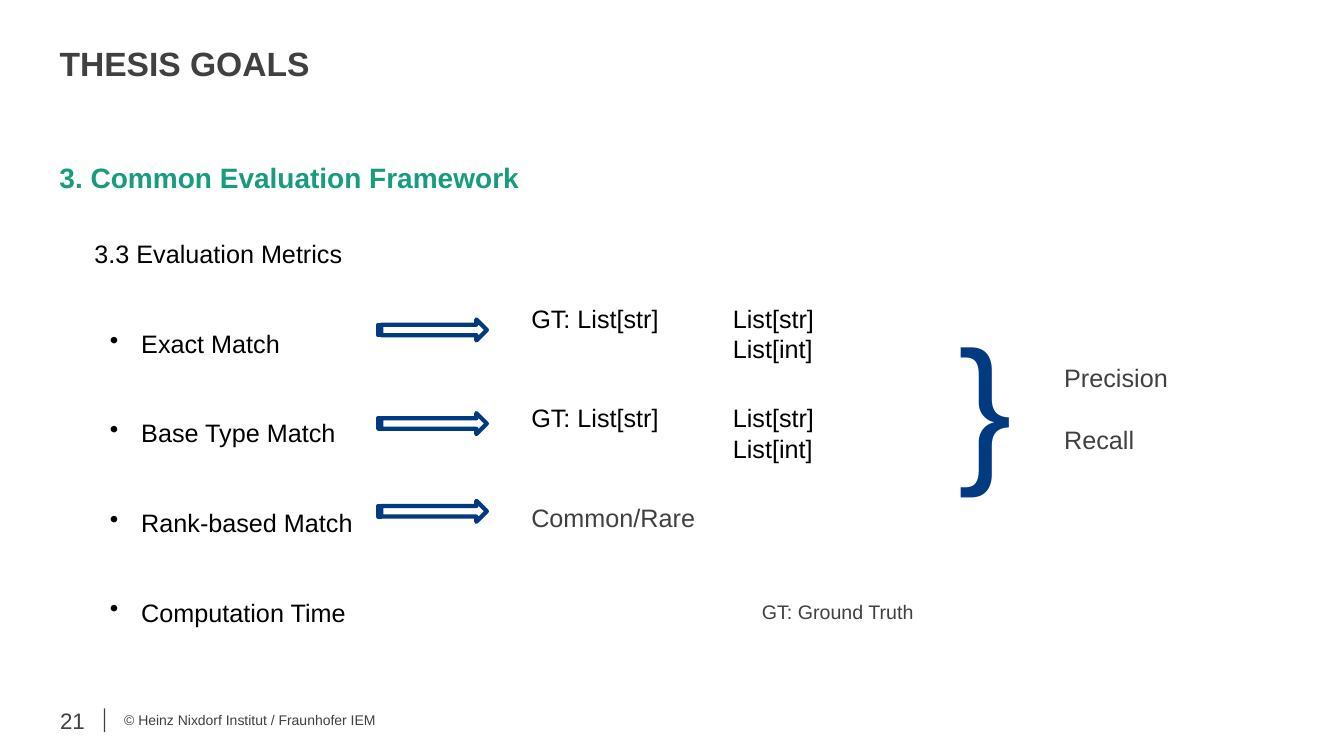
from lxml import etree
from pptx import Presentation
from pptx.dml import color
from pptx.enum import shapes, text
from pptx.oxml import ns
from pptx.util import Cm, Pt

GREY, BLACK, BLUE, GREEN = "404040", "000000", "003A80", "179C7D"


def rgb(value):
    """Return the colour for a hex string."""
    return color.RGBColor.from_string(value)


def format_font(paragraph, size, colour, bold=False):
    """Set the font of a whole paragraph."""
    font = paragraph.font
    font.name, font.size, font.bold = "Arial", Pt(size), bold
    font.color.rgb = rgb(colour)


def prepare_frame(shape, anchor=text.MSO_ANCHOR.TOP):
    """Remove the insets, wrap the text and anchor it."""
    frame = shape.text_frame
    frame.margin_left = frame.margin_right = frame.margin_top = frame.margin_bottom = 0
    frame.word_wrap = True
    frame.auto_size = text.MSO_AUTO_SIZE.NONE
    frame.vertical_anchor = anchor
    return frame


def add_text(slide, box, lines, size=18, colour=GREY, anchor=text.MSO_ANCHOR.TOP, tab=None):
    """Add a text box with one paragraph per line and an optional tab stop."""
    frame = prepare_frame(slide.shapes.add_textbox(*map(Cm, box)), anchor)
    for index, line in enumerate(lines):
        paragraph = frame.paragraphs[0] if index == 0 else frame.add_paragraph()
        paragraph.text = line
        if tab:
            stops = etree.SubElement(paragraph._p.get_or_add_pPr(), ns.qn("a:tabLst"))
            etree.SubElement(stops, ns.qn("a:tab"), pos=str(Cm(tab)), algn="l")
        format_font(paragraph, size, colour)
    return frame


def add_title(slide, box):
    """Place and format the title placeholder."""
    title = slide.shapes.title
    title.left, title.top, title.width, title.height = map(Cm, box)
    paragraph = prepare_frame(title).paragraphs[0]
    paragraph.text = "THESIS GOALS"
    paragraph.alignment = text.PP_ALIGN.LEFT
    paragraph.line_spacing = 0.9
    format_font(paragraph, 24, GREY, True)


def add_outline(slide, box):
    """Add the heading, the subheading and the bulleted metrics."""
    metrics = ["Exact Match", "Base Type Match", "Rank-based Match", "Computation Time"]
    lines = ["3. Common Evaluation Framework", "3.3 Evaluation Metrics", *metrics]
    frame = add_text(slide, box, lines, colour=BLACK)
    heading, subheading, *bullets = frame.paragraphs
    format_font(heading, 20, GREEN, True)
    heading.line_spacing = subheading.line_spacing = 2.0
    subheading.space_before = Pt(10)
    subheading._p.get_or_add_pPr().set("marL", str(Cm(0.88)))
    for paragraph in bullets:
        properties = paragraph._p.get_or_add_pPr()
        properties.set("marL", str(Cm(2.06)))
        properties.set("indent", str(Cm(-0.79)))
        bullet = etree.Element(ns.qn("a:buChar"), char="•")
        properties.insert(0, bullet)
        paragraph.line_spacing = 2.5
        paragraph.space_before = Pt(10)


def add_arrow(slide, box):
    """Add a striped arrow with a blue outline."""
    arrow = slide.shapes.add_shape(shapes.MSO_SHAPE.STRIPED_RIGHT_ARROW, *map(Cm, box))
    arrow.shadow.inherit = False
    arrow.fill.background()
    arrow.line.color.rgb = rgb(BLUE)
    arrow.line.width = Pt(3)


def add_examples(slide, box):
    """Add an arrow and an example for each matching metric."""
    left, top, width, height = box
    types = ["GT: List[str]\tList[str]", "\tList[int]"]
    rows = [(0.4, types, BLACK), (2.76, types, BLACK), (4.97, ["Common/Rare"], GREY)]
    for index, (arrow_offset, lines, colour) in enumerate(rows):
        add_arrow(slide, (left, top + arrow_offset, 2.74, 0.53))
        row_box = (left + 3.86, top + index * height / 3, width - 3.86, height / 3)
        add_text(slide, row_box, lines, colour=colour, tab=5.08)


def add_measures(slide, box):
    """Add the brace and the measures it leads to."""
    left, top, width, height = box
    add_text(slide, (left, top, 2.54, height), ["}"], 115, BLUE)
    for offset, measure in ((1.47, "Precision"), (3.05, "Recall")):
        add_text(slide, (left + 2.66, top + offset, width - 2.66, 1), [measure])


def add_footer(slide, box):
    """Add the slide number, the divider and the copyright line."""
    left, top, width, height = box
    middle = text.MSO_ANCHOR.MIDDLE
    number = add_text(slide, (left, top, 0.64, height), ["21"], 16, anchor=middle)
    number.word_wrap = False
    number.paragraphs[0].alignment = text.PP_ALIGN.RIGHT
    divider = slide.shapes.add_shape(
        shapes.MSO_SHAPE.RECTANGLE, Cm(left + 1.12), Cm(top + 0.1), Cm(0.03), Cm(0.6))
    divider.shadow.inherit = False
    divider.fill.solid()
    divider.fill.fore_color.rgb = rgb(GREY)
    divider.line.fill.background()
    add_text(slide, (left + 1.63, top, width - 1.63, height),
             ["© Heinz Nixdorf Institut / Fraunhofer IEM"], 10, anchor=middle)


def main():
    """Build the slide and save it."""
    presentation = Presentation()
    presentation.slide_width, presentation.slide_height = Cm(33.87), Cm(19.05)
    slide = presentation.slides.add_slide(presentation.slide_layouts[5])
    add_title(slide, (1.5, 1.19, 26.21, 1.09))
    add_outline(slide, (1.5, 3.2, 23.62, 14.33))
    add_examples(slide, (9.53, 7.65, 12.5, 7.5))
    add_measures(slide, (24.16, 7.65, 8.22, 8.38))
    add_text(slide, (19.2, 15.11, 5, 1), ["GT: Ground Truth"], 14)
    add_footer(slide, (1.5, 17.75, 15.42, 0.79))
    presentation.save("out.pptx")


if __name__ == "__main__":
    main()
